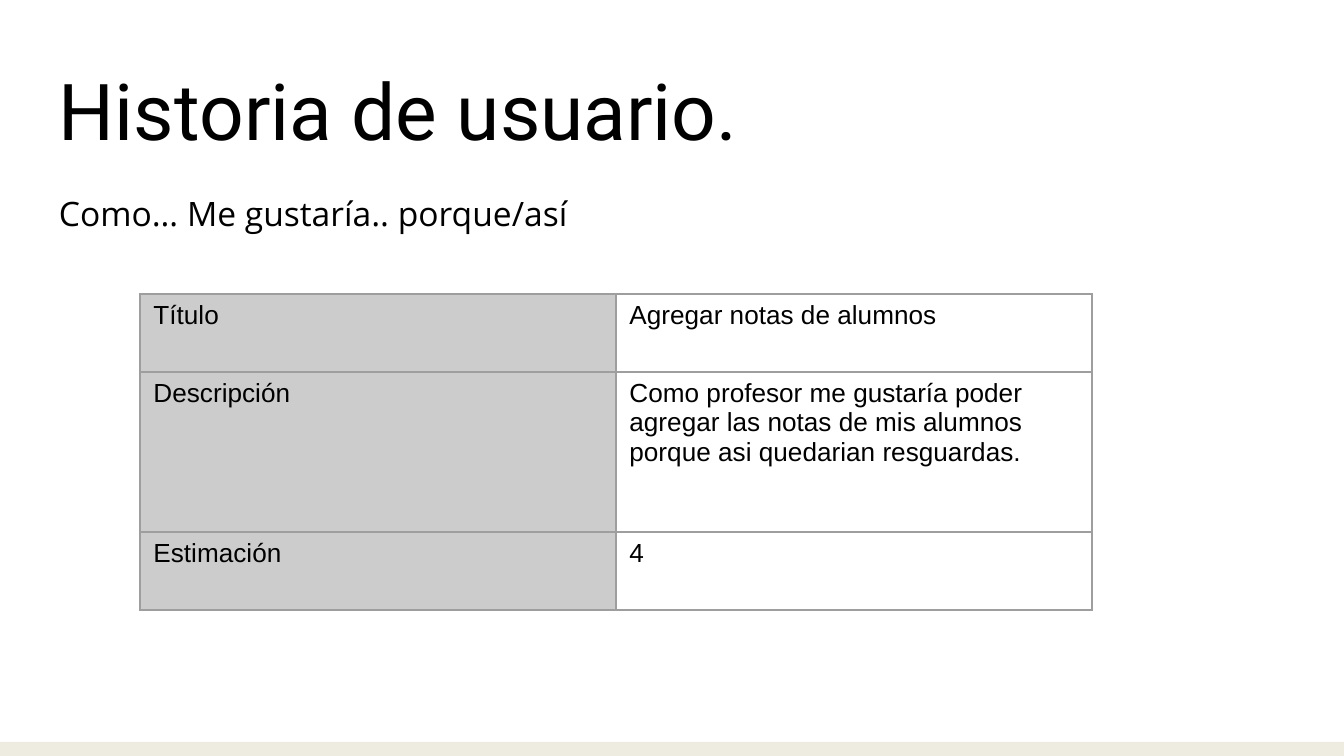
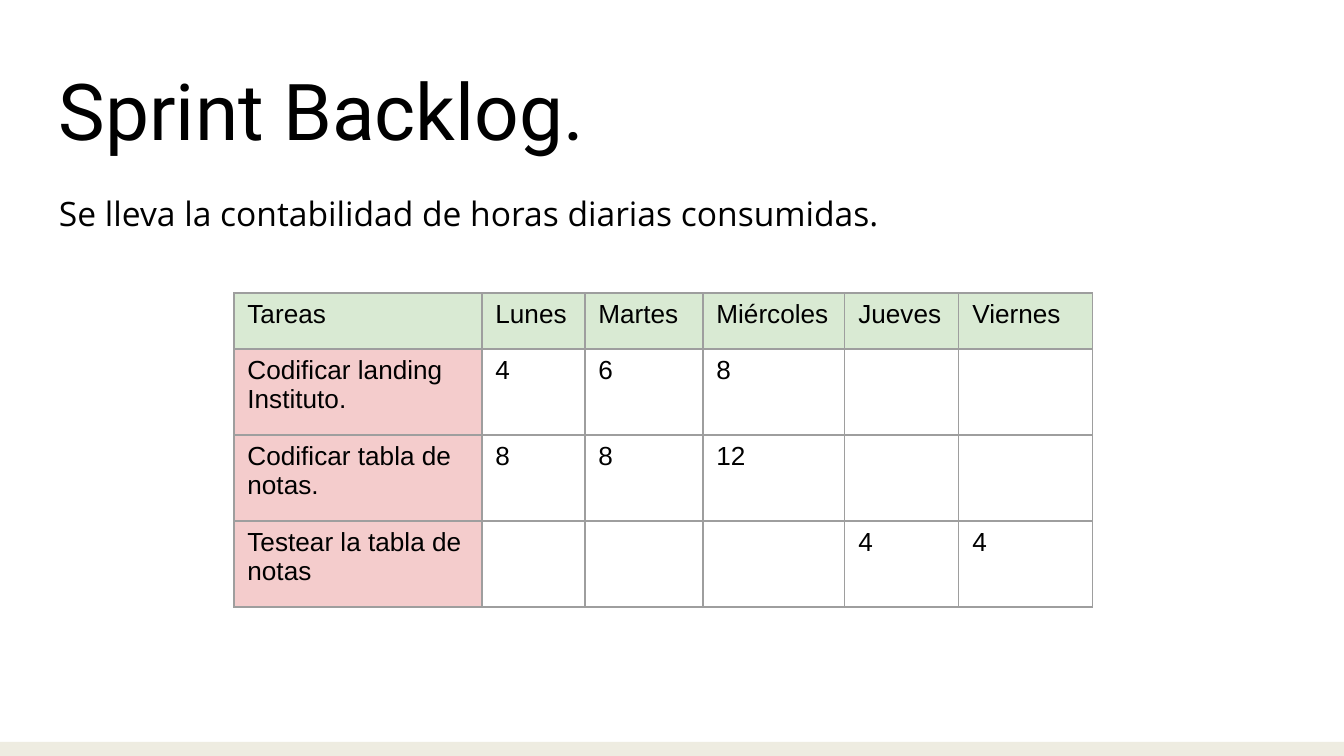
from dataclasses import dataclass

from lxml import etree
from pptx import Presentation, util as u
from pptx.dml.color import RGBColor
from pptx.enum import shapes, text
from pptx.oxml import ns

# Content; sizes and positions in px
SLIDES = [
    {
        "title": "Historia de usuario.",
        "summary": "Como… Me gustaría.. porque/así",
        "origin": (140, 294),
        "columns": [476, 476],
        "row_heights": [78, 160, 78],
        "header_fill": None,
        "label_fill": "CCCCCC",
        "rows": [
            ("Título", "Agregar notas de alumnos"),
            ("Descripción", "Como profesor me gustaría poder agregar las notas "
                            "de mis alumnos porque asi quedarian resguardas."),
            ("Estimación", "4"),
        ],
    },
    {
        "title": "Sprint Backlog.",
        "summary": "Se lleva la contabilidad de horas diarias consumidas.",
        "origin": (234, 293),
        "columns": [248, 103, 118, 142, 114, 134],
        "row_heights": [56, 86, 86, 86],
        "header_fill": "D9EAD3",
        "label_fill": "F4CCCC",
        "rows": [
            ("Tareas", "Lunes", "Martes", "Miércoles", "Jueves", "Viernes"),
            ("Codificar landing Instituto.", "4", "6", "8", "", ""),
            ("Codificar tabla de notas.", "8", "8", "12", "", ""),
            ("Testear la tabla de notas", "", "", "", "4", "4"),
        ],
    },
]


@dataclass(frozen=True)
class Theme:
    ink: str = "000000"
    band: str = "EEECE1"
    border: str = "9E9E9E"
    border_width: float = 0.75
    title: tuple = ("Roboto", 42)
    summary: tuple = ("Open Sans", 18)
    cell: tuple = ("Arial", 14)


THEME = Theme()
WIDTH, HEIGHT = 1344, 756
BAND_HEIGHT = 14
TITLE_BOX = (46, 47, 1252, 122)
SUMMARY_BOX = (46, 180, 1252, 493)
INSET = 13


def px(length):
    return u.Emu(round(length * 914400 / 134.4))


def write(frame, words, style):
    run = frame.paragraphs[0].add_run()
    run.text = words
    run.font.name, size = style
    run.font.size = u.Pt(size)
    run.font.color.rgb = RGBColor.from_string(THEME.ink)


def add_text(slide, box, words, style, anchor):
    frame = slide.shapes.add_textbox(*map(px, box)).text_frame
    margins = {f"margin_{side}": px(INSET) for side in ("left", "top", "right", "bottom")}
    for name, value in {"word_wrap": True, "vertical_anchor": anchor, **margins}.items():
        setattr(frame, name, value)
    write(frame, words, style)


def add_band(slide):
    box = (0, HEIGHT - BAND_HEIGHT, WIDTH, BAND_HEIGHT)
    band = slide.shapes.add_shape(shapes.MSO_SHAPE.RECTANGLE, *map(px, box))
    band.shadow.inherit = False
    band.fill.solid()
    band.fill.fore_color.rgb = RGBColor.from_string(THEME.band)
    band.line.fill.background()


def add_borders(cell):
    properties = cell._tc.get_or_add_tcPr()
    for side in ("lnL", "lnR", "lnT", "lnB"):
        line = etree.SubElement(properties, ns.qn(f"a:{side}"),
                                w=str(u.Pt(THEME.border_width)))
        fill = etree.SubElement(line, ns.qn("a:solidFill"))
        etree.SubElement(fill, ns.qn("a:srgbClr"), val=THEME.border)


def add_grid(slide, content):
    rows, columns, heights = content["rows"], content["columns"], content["row_heights"]
    box = (*content["origin"], sum(columns), sum(heights))
    grid = slide.shapes.add_table(len(rows), len(columns), *map(px, box)).table
    grid.first_row = grid.horz_banding = False
    for column, width in zip(grid.columns, columns):
        column.width = px(width)
    for r, (row, height) in enumerate(zip(rows, heights)):
        grid.rows[r].height = px(height)
        for c, words in enumerate(row):
            cell = grid.cell(r, c)
            add_borders(cell)
            # The header row takes precedence over the label column
            color = (content["header_fill"] if r == 0 else None) or (
                content["label_fill"] if c == 0 else None)
            if color:
                cell.fill.solid()
                cell.fill.fore_color.rgb = RGBColor.from_string(color)
            else:
                cell.fill.background()
            if words:
                write(cell.text_frame, words, THEME.cell)


def main():
    deck = Presentation()
    deck.slide_width, deck.slide_height = px(WIDTH), px(HEIGHT)
    for content in SLIDES:
        slide = deck.slides.add_slide(deck.slide_layouts[6])
        add_band(slide)
        add_text(slide, TITLE_BOX, content["title"], THEME.title, text.MSO_ANCHOR.BOTTOM)
        add_text(slide, SUMMARY_BOX, content["summary"], THEME.summary, text.MSO_ANCHOR.TOP)
        add_grid(slide, content)
    deck.save("out.pptx")


if __name__ == "__main__":
    main()
